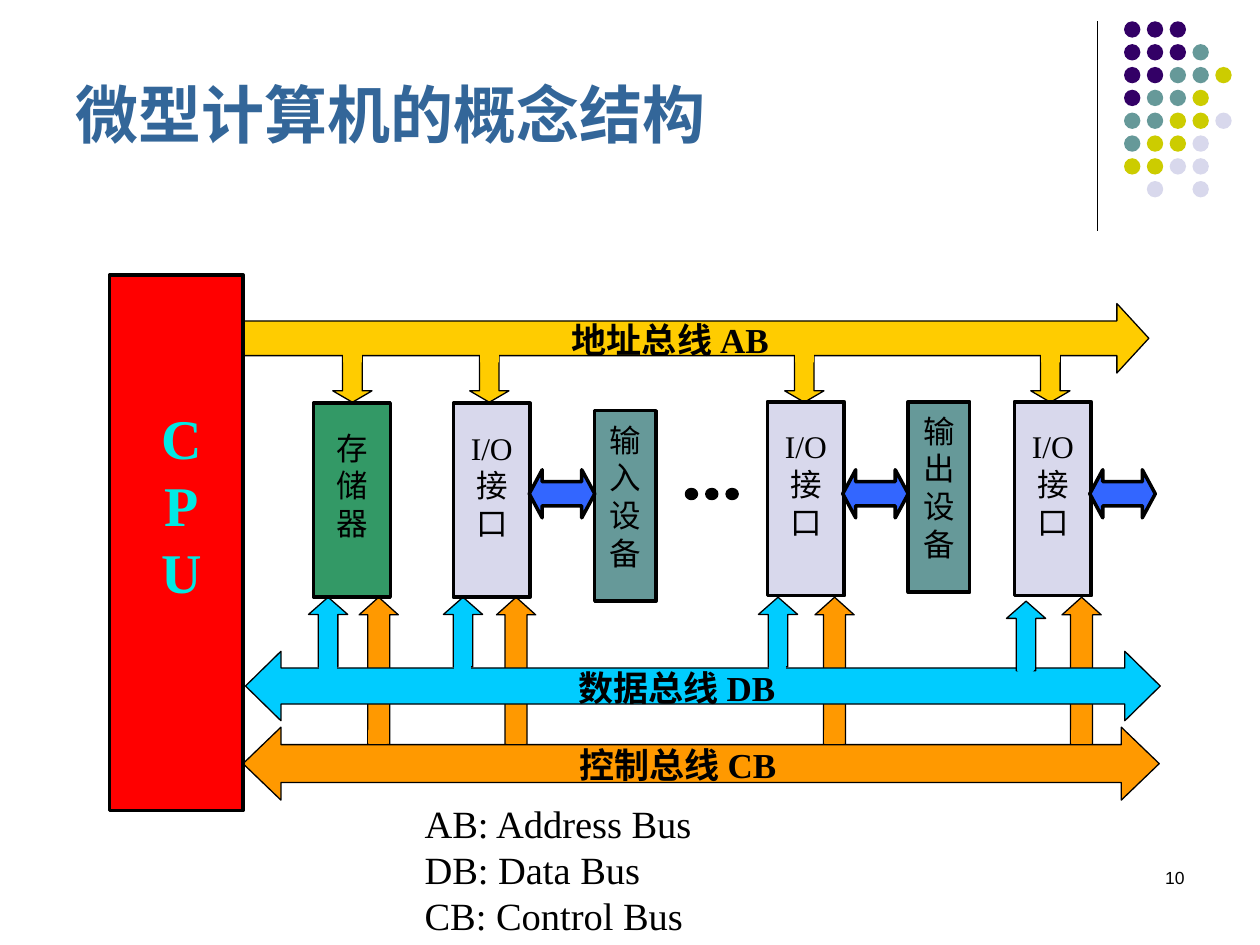
from dataclasses import dataclass

from lxml import etree
from pptx import Presentation
from pptx import util as u
from pptx.dml.color import RGBColor
from pptx.enum import shapes, text
from pptx.oxml import ns

KIND = shapes.MSO_SHAPE


@dataclass(frozen=True)
class Theme:
    """Colours, fonts and type sizes of the slide."""
    black: str = "000000"
    title: str = "336699"
    cpu: str = "FF0000"
    cpu_text: str = "00E9E4"
    memory: str = "339966"
    port: str = "D8D8EC"
    device: str = "669999"
    link: str = "3366FF"
    address: str = "FFCC00"
    data: str = "00CCFF"
    control: str = "FF9900"
    dots: tuple = (("P", "330066"), ("T", "669999"), ("Y", "CCCC00"), ("L", "D8D8EC"))
    serif: str = "Times New Roman"
    sans: str = "Arial"
    title_size: int = 36
    cpu_size: int = 32
    note_size: int = 22
    bus_size: int = 20
    block_size: int = 18
    number_size: int = 10
    thin: float = 0.75
    thick: float = 2


@dataclass(frozen=True)
class Unit:
    """A block on the buses and the left edges of its three arrows."""
    words: tuple
    fill: str
    left: float
    top: float
    address: float
    data: float
    control: float
    data_top: float = 12.04


THEME = Theme()
PORT = ("I/O", "接", "口")
UNITS = (
    Unit(("存", "储", "器"), THEME.memory, 6.32, 8.13, 6.71, 6.22, 7.24),
    Unit(PORT, THEME.port, 9.14, 8.13, 9.47, 8.94, 10.01),
    Unit(PORT, THEME.port, 15.47, 8.1, 15.82, 15.29, 16.43),
    Unit(PORT, THEME.port, 20.45, 8.1, 20.78, 20.29, 21.41, 12.12),
)
DOT_ROWS = ("PPP", "PPPT", "PPTTY", "PTTY", "TTYYL", "TYYL", "YYLL", " L L")


def colour(value):
    """Turn a hex string into a colour."""
    return RGBColor.from_string(value)


def add_figure(page, kind, box, fill, line=None, width=THEME.thin, adjust=()):
    """Add a filled preset shape; box is left, top, width, height in cm."""
    figure = page.shapes.add_shape(kind, *map(u.Cm, box))
    figure.shadow.inherit = False
    figure.fill.solid()
    figure.fill.fore_color.rgb = colour(fill)
    if line:
        figure.line.color.rgb = colour(line)
        figure.line.width = u.Pt(width)
    else:
        figure.line.fill.background()
    for index, value in enumerate(adjust):
        figure.adjustments[index] = value
    return figure


def write(box, lines, size, ink=THEME.black, font=THEME.serif, bold=False,
          align=text.PP_ALIGN.LEFT, inset=(0, 0, 0, 0), anchor=text.MSO_ANCHOR.TOP,
          spacing=1.2):
    """Fill a shape with one paragraph per line."""
    frame = box.text_frame
    frame.word_wrap = True
    frame.vertical_anchor = anchor
    (frame.margin_left, frame.margin_top,
     frame.margin_right, frame.margin_bottom) = map(u.Cm, inset)
    for index, line in enumerate(lines):
        para = frame.add_paragraph() if index else frame.paragraphs[0]
        para.alignment = align
        if spacing:
            para.line_spacing = u.Pt(size * spacing)
        span = para.add_run()
        span.text = line
        span.font.name = font
        span.font.size = u.Pt(size)
        span.font.bold = bold
        span.font.color.rgb = colour(ink)


def add_text(page, box, lines, size, **style):
    """Add a text box at a place given in cm."""
    write(page.shapes.add_textbox(*map(u.Cm, box)), lines, size, **style)


def add_block(page, box, fill, words, inset_top, size=THEME.block_size, **style):
    """Add an outlined rectangle with centred stacked words."""
    block = add_figure(page, KIND.RECTANGLE, box, fill, THEME.black, THEME.thick)
    write(block, words, size, align=text.PP_ALIGN.CENTER,
          inset=(style.pop("inset_left", 0), inset_top, 0, 0), **style)


def add_bridge(page, box, fill):
    """Cover the seam between an arrow and its bus."""
    add_figure(page, KIND.RECTANGLE, box, fill, fill, THEME.thick)


def add_ornament(page):
    """Add the corner rule and the grid of coloured dots."""
    rule = page.shapes.add_connector(shapes.MSO_CONNECTOR.STRAIGHT,
                                     *map(u.Cm, (22.12, 0.43, 22.12, 4.65)))
    rule.line.color.rgb = colour(THEME.black)
    rule.line.width = u.Pt(THEME.thin)
    etree.SubElement(rule.element.spPr, ns.qn("a:effectLst"))
    fills = dict(THEME.dots)
    pitch = 0.46
    for row, marks in enumerate(DOT_ROWS):
        for column, mark in enumerate(marks):
            if mark in fills:
                place = (22.66 + column * pitch, 0.43 + row * pitch, 0.33, 0.33)
                add_figure(page, KIND.OVAL, place, fills[mark])


def add_buses(page):
    """Add the three buses with the arrows that branch from them."""
    black = THEME.black
    for unit in UNITS:
        add_figure(page, KIND.UP_ARROW, (unit.control, 12.04, 0.79, 3.15),
                   THEME.control, black, adjust=(0.56, 0.45))
        add_figure(page, KIND.DOWN_ARROW, (unit.address, 7.17, 0.79, 0.94),
                   THEME.address, black, adjust=(0.5, 0.29))
    add_figure(page, KIND.RIGHT_ARROW, (4.9, 6.12, 18.26, 1.4),
               THEME.address, black, adjust=(0.5, 0.46))
    add_figure(page, KIND.LEFT_RIGHT_ARROW, (4.95, 13.13, 18.44, 1.4),
               THEME.data, black, adjust=(0.52, 0.51))
    add_figure(page, KIND.LEFT_RIGHT_ARROW, (4.9, 14.66, 18.47, 1.47),
               THEME.control, black, adjust=(0.52, 0.52))
    for unit in UNITS:
        add_figure(page, KIND.UP_ARROW, (unit.data, unit.data_top, 0.79, 1.4),
                   THEME.data, black, adjust=(0.5, 0.44))
        add_bridge(page, (unit.address + 0.25, 7.14, 0.3, 0.15), THEME.address)
        add_bridge(page, (unit.data + 0.24, 13.29, 0.29, 0.23), THEME.data)
        add_bridge(page, (unit.control + 0.22, 14.74, 0.33, 0.23), THEME.control)
    for left, top, width, label in ((11.53, 6.43, 5.36, "地址总线 AB"),
                                    (11.66, 13.44, 4.65, "数据总线 DB"),
                                    (11.68, 14.99, 4.6, "控制总线 CB")):
        add_text(page, (left, top, width, 0.8), (label,), THEME.bus_size, bold=True)


def add_blocks(page):
    """Add the processor, the blocks on the buses and their devices."""
    add_block(page, (2.21, 5.54, 2.69, 10.8), THEME.cpu, "CPU", 2.59, THEME.cpu_size,
              ink=THEME.cpu_text, bold=True, inset_left=0.2)
    for unit in UNITS:
        add_block(page, (unit.left, unit.top, 1.55, 3.91), unit.fill, unit.words, 0.51)
    for left, top, words in ((11.99, 8.28, "输入设备"), (18.31, 8.1, "输出设备")):
        add_block(page, (left, top, 1.24, 3.84), THEME.device, words, 0.2)
    for left in (10.67, 16.99, 21.97):
        add_figure(page, KIND.LEFT_RIGHT_ARROW, (left, 9.47, 1.32, 0.97),
                   THEME.link, THEME.black, THEME.thick, (0.5, 0.27))
    for index in range(3):
        add_figure(page, KIND.OVAL, (13.84 + index * 0.41, 9.87, 0.2, 0.18),
                   THEME.black, THEME.black, THEME.thick)


def main():
    """Build the slide and save it."""
    deck = Presentation()
    deck.slide_width, deck.slide_height = u.Cm(25.4), u.Cm(19.05)
    page = deck.slides.add_slide(deck.slide_layouts[6])
    padding = (0.25, 0.13, 0.25, 0.13)
    add_ornament(page)
    add_text(page, (1.27, 1.09, 20.96, 2.08), ("微型计算机的概念结构",), THEME.title_size,
             ink=THEME.title, font=THEME.sans, bold=True, inset=padding,
             anchor=text.MSO_ANCHOR.BOTTOM, spacing=None)
    add_buses(page)
    add_blocks(page)
    add_text(page, (8.31, 16, 6.4, 3.05),
             ("AB: Address Bus", "DB: Data Bus", "CB: Control Bus"),
             THEME.note_size, inset=padding)
    add_text(page, (18.21, 17.35, 5.92, 1.27), ("10",), THEME.number_size,
             font=THEME.sans, align=text.PP_ALIGN.RIGHT, inset=padding, spacing=None)
    deck.save("out.pptx")


if __name__ == "__main__":
    main()
